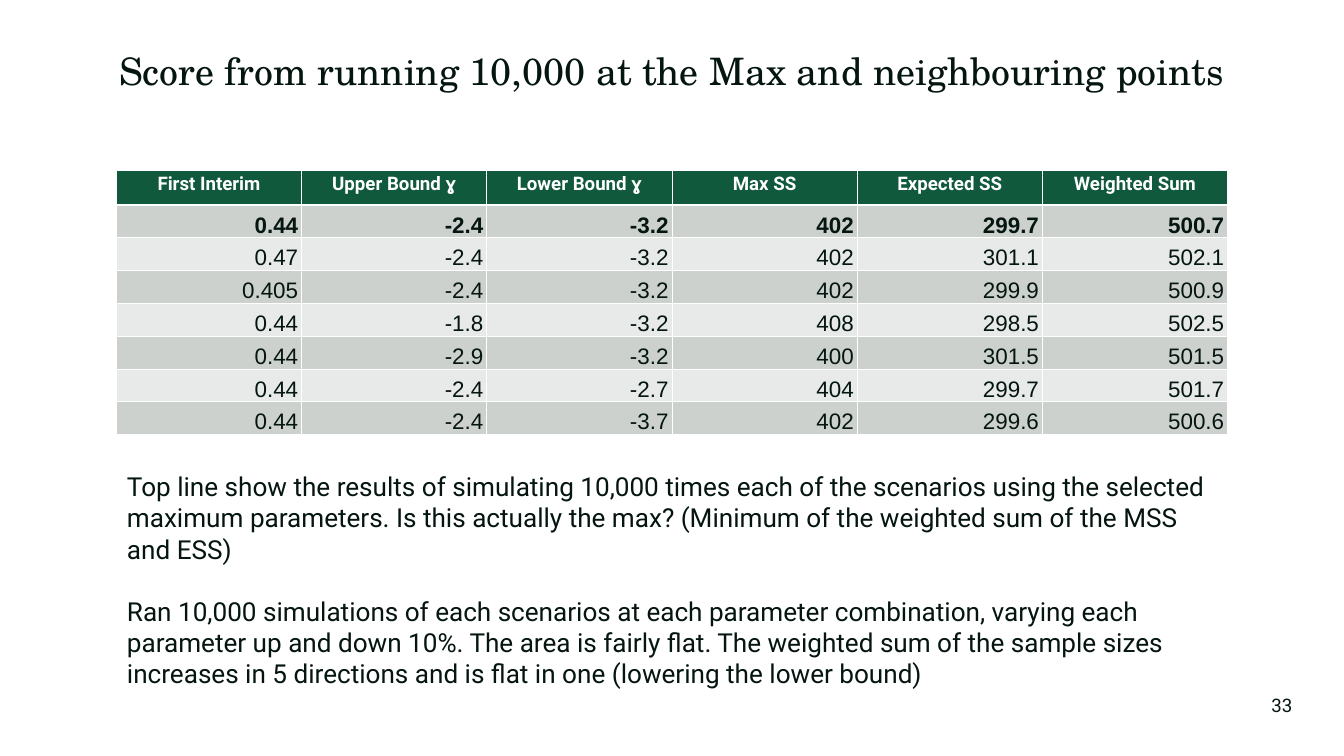
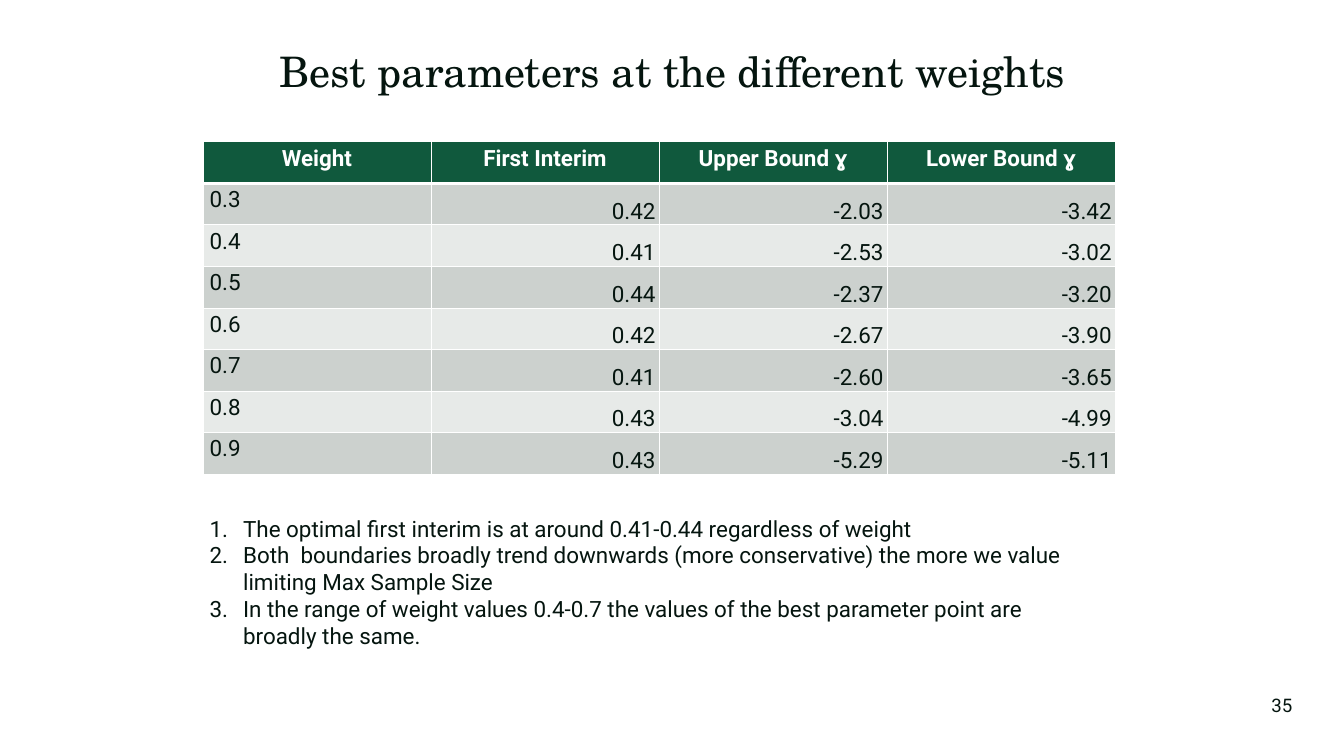
"""Builds two slides that compare simulation parameters in tables."""
from lxml import etree
from pptx import Presentation
from pptx import oxml
from pptx import util as u
from pptx.dml import color
from pptx.enum import text as t
from pptx.oxml import ns

COLORS = {"ink": "05150F", "header": "10593D", "white": "FFFFFF",
          "bands": ("CCD1CE", "E7EAE8")}
FONTS = {"title": "TeX Gyre Schola", "body": "Roboto", "figures": "Arial"}
SLIDE_SIZE = (50.8, 28.58)
TITLE_BOX = (1.7, 1.52, 47.42, 2.51)
NUMBER_BOX = (37.67, 25.91, 11.43, 1.52)
CELL_INSETS = {"label": (0.25, 0.13), "figure": (0.13, 0)}

SLIDES = [
    {
        "title": "Score from running 10,000 at the Max and neighbouring points",
        "title_size": 40.5,
        "number": "33",
        "table": {
            "left": 4.4, "top": 6.43, "column_width": 7,
            "header_height": 1.32, "row_height": 1.24,
            "header_size": 20, "font": FONTS["figures"],
            "bold_rows": {1}, "label_columns": set(),
            "rows": [
                ("First Interim", "Upper Bound ɣ", "Lower Bound ɣ",
                 "Max SS", "Expected SS", "Weighted Sum"),
                ("0.44", "-2.4", "-3.2", "402", "299.7", "500.7"),
                ("0.47", "-2.4", "-3.2", "402", "301.1", "502.1"),
                ("0.405", "-2.4", "-3.2", "402", "299.9", "500.9"),
                ("0.44", "-1.8", "-3.2", "408", "298.5", "502.5"),
                ("0.44", "-2.9", "-3.2", "400", "301.5", "501.5"),
                ("0.44", "-2.4", "-2.7", "404", "299.7", "501.7"),
                ("0.44", "-2.4", "-3.7", "402", "299.6", "500.6"),
            ],
        },
        "notes_box": (4.55, 17.65, 41.68, 10.59),
        "notes_format": {"size": 28, "space_after": 33},
        "notes": [
            "Top line show the results of simulating 10,000 times each of the "
            "scenarios using the selected maximum parameters. Is this actually "
            "the max? (Minimum of the weighted sum of the MSS and ESS)",
            "Ran 10,000 simulations of each scenarios at each parameter "
            "combination, varying each parameter up and down 10%. The area is "
            "fairly flat. The weighted sum of the sample sizes increases in 5 "
            "directions and is flat in one (lowering the lower bound)",
        ],
    },
    {
        "title": "Best parameters at the different weights",
        "title_size": 45,
        "number": "35",
        "table": {
            "left": 7.67, "top": 5.36, "column_width": 8.62,
            "header_height": 1.57, "row_height": 1.57,
            "header_size": 24, "font": FONTS["body"],
            "bold_rows": set(), "label_columns": {0},
            "rows": [
                ("Weight", "First Interim", "Upper Bound ɣ", "Lower Bound ɣ"),
                ("0.3", "0.42", "-2.03", "-3.42"),
                ("0.4", "0.41", "-2.53", "-3.02"),
                ("0.5", "0.44", "-2.37", "-3.20"),
                ("0.6", "0.42", "-2.67", "-3.90"),
                ("0.7", "0.41", "-2.60", "-3.65"),
                ("0.8", "0.43", "-3.04", "-4.99"),
                ("0.9", "0.43", "-5.29", "-5.11"),
            ],
        },
        "notes_box": (7.67, 19.33, 34.19, 5.38),
        "notes_format": {"size": 24, "numbered": True},
        "notes": [
            "The optimal first interim is at around 0.41-0.44 regardless of weight",
            "Both  boundaries broadly trend downwards (more conservative) the "
            "more we value limiting Max Sample Size",
            "In the range of weight values 0.4-0.7 the values of the best "
            "parameter point are broadly the same.",
        ],
    },
]


def write(frame, lines, size=24, font=FONTS["body"], ink=COLORS["ink"],
          bold=False, align=t.PP_ALIGN.LEFT, line_spacing=None,
          space_after=0, numbered=False):
    for index, line in enumerate(lines):
        paragraph = frame.paragraphs[0] if index == 0 else frame.add_paragraph()
        paragraph.alignment = align
        if line_spacing:
            paragraph.line_spacing = line_spacing
        if index < len(lines) - 1:
            paragraph.space_after = u.Pt(space_after)
        if numbered:
            properties = paragraph._p.get_or_add_pPr()
            properties.set("marL", str(u.Cm(1.27)))
            properties.set("indent", str(u.Cm(-1.27)))
            bullet = etree.SubElement(properties, ns.qn("a:buAutoNum"))
            bullet.set("type", "arabicPeriod")
        run = paragraph.add_run()
        run.text = line
        run.font.size = u.Pt(size)
        run.font.name = font
        run.font.bold = bold
        run.font.color.rgb = color.RGBColor.from_string(ink)


def add_text(slide, box, lines, anchor=t.MSO_ANCHOR.TOP, **text_format):
    frame = slide.shapes.add_textbox(*map(u.Cm, box)).text_frame
    frame.word_wrap = True
    frame.vertical_anchor = anchor
    write(frame, lines, **text_format)


def set_borders(cell, widths):
    properties = cell._tc.get_or_add_tcPr()
    for side, points in widths.items():
        properties.append(oxml.parse_xml(
            f'<a:ln{side} {ns.nsdecls("a")} w="{u.Pt(points)}"><a:solidFill>'
            f'<a:srgbClr val="{COLORS["white"]}"/></a:solidFill></a:ln{side}>'))


def style_cell(cell, row, column, content, table):
    is_header = row == 0
    is_label = is_header or column in table["label_columns"]
    set_borders(cell, {"L": 1, "R": 1, "T": 3 if row == 1 else 1,
                       "B": 3 if is_header else 1})
    cell.fill.solid()
    cell.fill.fore_color.rgb = color.RGBColor.from_string(
        COLORS["header"] if is_header else COLORS["bands"][(row - 1) % 2])
    side, edge = CELL_INSETS["label" if is_label else "figure"]
    cell.margin_left = cell.margin_right = u.Cm(side)
    cell.margin_top = cell.margin_bottom = u.Cm(edge)
    cell.vertical_anchor = t.MSO_ANCHOR.TOP if is_label else t.MSO_ANCHOR.BOTTOM
    if is_header:
        write(cell.text_frame, [content], size=table["header_size"], bold=True,
              ink=COLORS["white"], align=t.PP_ALIGN.CENTER)
    else:
        write(cell.text_frame, [content], font=table["font"],
              bold=row in table["bold_rows"],
              align=t.PP_ALIGN.LEFT if is_label else t.PP_ALIGN.RIGHT)


def add_parameter_table(slide, table):
    rows = table["rows"]
    heights = [table["header_height"]] + [table["row_height"]] * (len(rows) - 1)
    width = table["column_width"] * len(rows[0])
    grid = slide.shapes.add_table(
        len(rows), len(rows[0]), u.Cm(table["left"]), u.Cm(table["top"]),
        u.Cm(width), u.Cm(sum(heights))).table
    for column in grid.columns:
        column.width = u.Cm(table["column_width"])
    for row, (height, contents) in enumerate(zip(heights, rows)):
        grid.rows[row].height = u.Cm(height)
        for column, content in enumerate(contents):
            style_cell(grid.cell(row, column), row, column, content, table)


def add_slide(presentation, content):
    slide = presentation.slides.add_slide(presentation.slide_layouts[6])
    add_text(slide, NUMBER_BOX, [content["number"]], size=20,
             anchor=t.MSO_ANCHOR.MIDDLE, align=t.PP_ALIGN.RIGHT)
    add_text(slide, TITLE_BOX, [content["title"]], size=content["title_size"],
             font=FONTS["title"], anchor=t.MSO_ANCHOR.MIDDLE,
             align=t.PP_ALIGN.CENTER, line_spacing=0.9)
    add_parameter_table(slide, content["table"])
    add_text(slide, content["notes_box"], content["notes"],
             **content["notes_format"])


def main():
    presentation = Presentation()
    presentation.slide_width, presentation.slide_height = map(u.Cm, SLIDE_SIZE)
    for content in SLIDES:
        add_slide(presentation, content)
    presentation.save("out.pptx")


if __name__ == "__main__":
    main()
